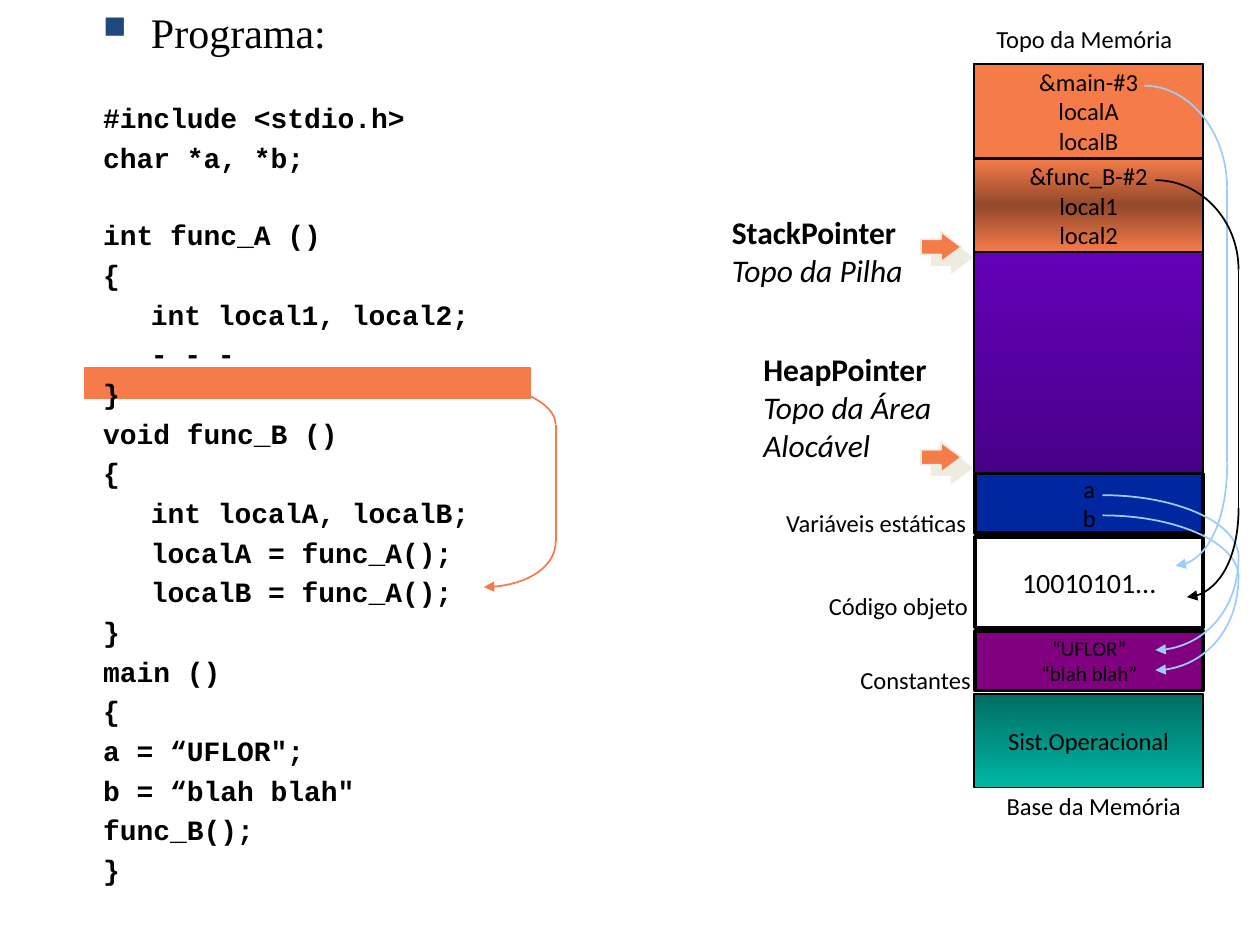
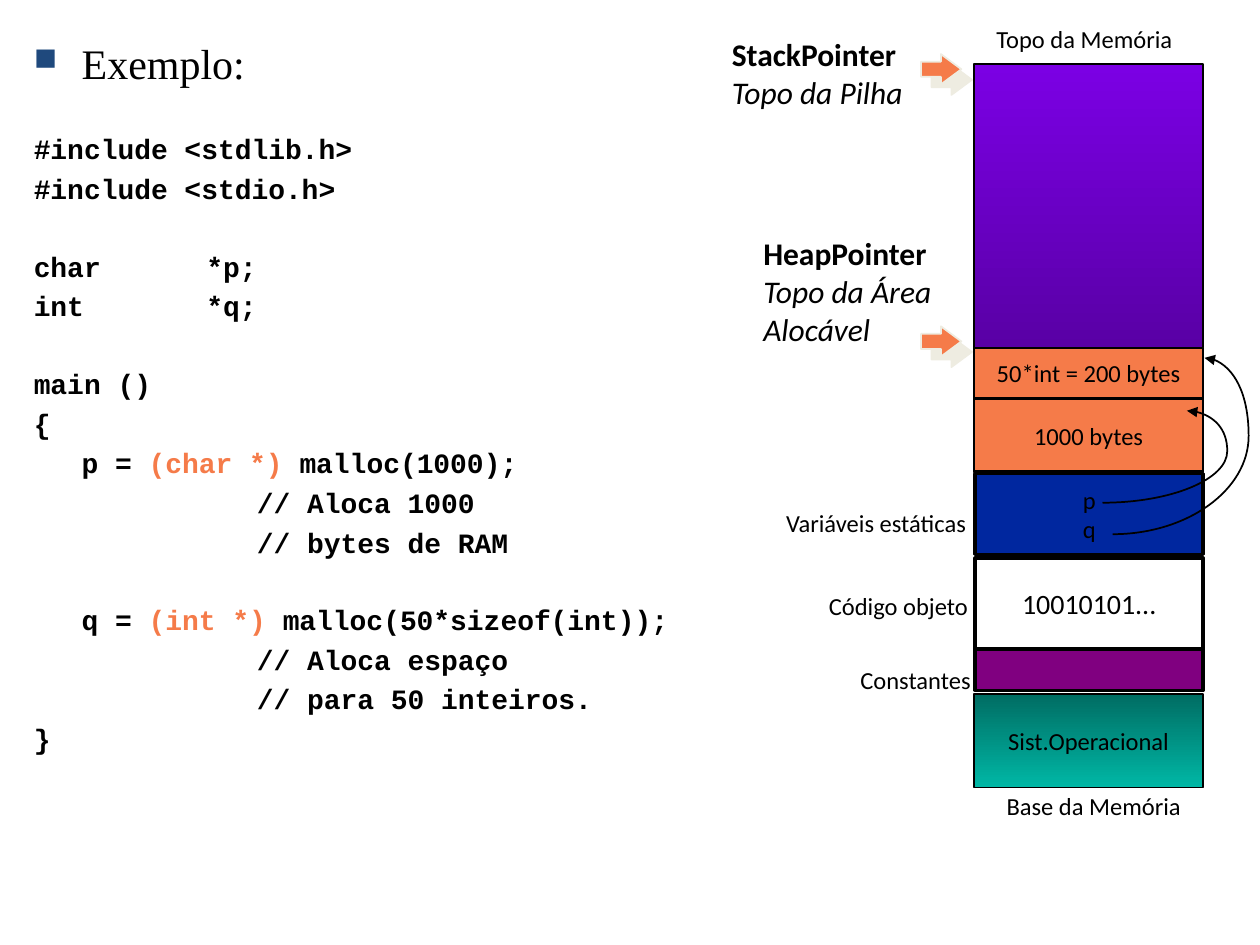
from lxml.etree import SubElement
from pptx import Presentation
from pptx.dml.color import RGBColor
from pptx.enum.shapes import MSO_CONNECTOR, MSO_SHAPE
from pptx.enum.text import MSO_ANCHOR, PP_ALIGN
from pptx.oxml.ns import qn
from pptx.util import Inches, Pt

COLORS = {
    "black": "000000", "white": "FFFFFF", "orange": "F57B49", "cream": "EEECE1",
    "navy": "1F497D", "blue": "00279F", "sky": "9CCDFC", "purple": "800080",
    "violet": "7B00E4", "teal": "00B7A5",
}
FONTS = {
    "heading": {"name": "Times New Roman", "size": Pt(24)},
    "code": {"name": "Courier New", "size": Pt(16), "bold": True},
    "small": {"name": "Calibri", "size": Pt(12)},
    "label": {"name": "Calibri", "size": Pt(14)},
    "bits": {"name": "Calibri", "size": Pt(16)},
    "pointer": {"name": "Calibri", "size": Pt(18), "bold": True},
    "pointer_note": {"name": "Calibri", "size": Pt(18), "italic": True},
}
GRADIENTS = {
    "os": [(0, "teal", 31), (100, "teal", 100)],
    "free": [(0, "violet", 100), (100, "violet", 31)],
    "frame": [(0, "orange", 100), (50, "orange", 31), (100, "orange", 100)],
}
LABELS = [
    (7.81, 0.14, 1.6, "Topo da Memória"),
    (7.89, 6.23, 1.6, "Base da Memória"),
    (6.14, 3.98, 1.77, "Variáveis estáticas"),
    (6.48, 4.64, 1.77, "Código objeto"),
    (6.73, 5.23, 1.77, "Constantes"),
]
PROGRAM = [
    ["#include <stdio.h>", "char *a, *b;"],
    ["int func_A ()", "{", "\tint local1, local2;", "\t- - -", "}",
     "void func_B ()", "{", "\tint localA, localB;", "\tlocalA = func_A();",
     "\tlocalB = func_A();", "}", "main ()", "{", 'a = “UFLOR";',
     'b = “blah blah"', "func_B();", "}"],
]
EXAMPLE = [
    ["#include <stdlib.h>", "#include <stdio.h>"],
    ["char\t*p;", "int\t*q;"],
    ["main ()", "{", "\tp = |(char *) |malloc(1000);", "\t// Aloca 1000",
     "\t// bytes de RAM"],
    ["\tq = |(int *) |malloc(50*sizeof(int));", "\t// Aloca espaço",
     "\t// para 50 inteiros.", "}"],
]
STACK = ["StackPointer", "Topo da Pilha"]
HEAP = ["HeapPointer", "Topo da Área", "Alocável"]
COLUMN_X, COLUMN_W = 7.73, 1.82
LINE_GAP, BLOCK_GAP = 3.5, 25.1
CURVE = 0.55


def rgb(color):
    """Return the RGB value of a named colour."""
    return RGBColor.from_string(COLORS[color])


def add_run(p, text, font, color="black"):
    """Append a run with a named font format."""
    r = p.add_run()
    r.text = text
    for name, value in FONTS[font].items():
        setattr(r.font, name, value)
    r.font.color.rgb = rgb(color)


def fill_lines(tf, lines, fonts, align=PP_ALIGN.LEFT):
    """Write one paragraph for each line."""
    for i, (line, font) in enumerate(zip(lines, fonts)):
        p = tf.add_paragraph() if i else tf.paragraphs[0]
        p.alignment = align
        add_run(p, line, font)


def add_textbox(s, x, y, w, h, wrap=True):
    """Add an empty text box and return its text frame."""
    tf = s.shapes.add_textbox(Inches(x), Inches(y), Inches(w), Inches(h)).text_frame
    tf.word_wrap = wrap
    return tf


def set_outline(sp, color, width=1):
    """Give a shape or connector a plain line."""
    sp.line.color.rgb = rgb(color)
    sp.line.width = Pt(width)


def set_gradient(sp, stops):
    """Fill a shape from top to bottom with shaded colour stops."""
    sp.fill.gradient()
    sp.fill.gradient_angle = 270
    gs_lst = sp._element.spPr.find(qn("a:gradFill")).find(qn("a:gsLst"))
    for gs in list(gs_lst):
        gs_lst.remove(gs)
    for pos, color, shade in stops:
        gs = SubElement(gs_lst, qn("a:gs"), pos=str(pos * 1000))
        clr = SubElement(gs, qn("a:srgbClr"), val=COLORS[color])
        if shade < 100:
            SubElement(clr, qn("a:shade"), val=str(shade * 1000))


def add_shape(s, kind, x, y, w, h, fill, line="black", width=1):
    """Add a preset shape with a solid or gradient fill."""
    sp = s.shapes.add_shape(kind, Inches(x), Inches(y), Inches(w), Inches(h))
    sp.shadow.inherit = False
    if fill in GRADIENTS:
        set_gradient(sp, GRADIENTS[fill])
    else:
        sp.fill.solid()
        sp.fill.fore_color.rgb = rgb(fill)
    set_outline(sp, line, width)
    return sp


def add_cell(s, y, h, fill, lines=(), font="label", width=1):
    """Add one block of the memory column."""
    inset = 0.01 * (width - 1)
    sp = add_shape(s, MSO_SHAPE.RECTANGLE, COLUMN_X + inset, y, COLUMN_W - inset, h,
                   fill, width=width)
    tf = sp.text_frame
    tf.word_wrap = False
    tf.vertical_anchor = MSO_ANCHOR.MIDDLE
    fill_lines(tf, lines, [font] * len(lines), PP_ALIGN.CENTER)


def add_pointer(s, x, y, w, h, lines, arrow_y):
    """Add a pointer caption and its shadowed arrow."""
    sp = add_shape(s, MSO_SHAPE.RIGHT_ARROW, 7.31, arrow_y, 0.32, 0.24, "orange", "cream")
    sp.adjustments[0], sp.adjustments[1] = 0.5, 0.677
    effects = sp._element.spPr.find(qn("a:effectLst"))
    shadow = SubElement(effects, qn("a:outerShdw"), blurRad="0", dist=str(Pt(8.5)),
                        dir="2700000", algn="ctr", rotWithShape="0")
    SubElement(shadow, qn("a:srgbClr"), val=COLORS["cream"])
    tf = add_textbox(s, x, y, w, h, wrap=False)
    fill_lines(tf, lines, ["pointer"] + ["pointer_note"] * (len(lines) - 1))


def add_arc(s, start, end, color, flat_start, arrow=False):
    """Draw a quarter ellipse that starts flat or upright."""
    (x0, y0), (x1, y1) = start, end
    dx, dy = CURVE * (x1 - x0), CURVE * (y1 - y0)
    if flat_start:
        points = [(x0 + dx, y0), (x1, y1 - dy), end]
    else:
        points = [(x0, y0 + dy), (x1 - dx, y1), end]
    fb = s.shapes.build_freeform(Inches(x0), Inches(y0))
    fb.add_line_segments([(Inches(x), Inches(y)) for x, y in points], close=False)
    sp = fb.convert_to_shape()
    outline = next(sp._element.iter(qn("a:path")))
    segments = outline.findall(qn("a:lnTo"))
    bezier = SubElement(outline, qn("a:cubicBezTo"))
    for segment in segments:
        bezier.append(segment[0])
        outline.remove(segment)
    sp.shadow.inherit = False
    sp.fill.background()
    set_outline(sp, color)
    if arrow:
        SubElement(sp._element.spPr.find(qn("a:ln")), qn("a:tailEnd"), type="triangle")


def add_loop(s, start, spine_x, bend_in, bend_out, end, color):
    """Join two points by arcs and a vertical spine, with an arrowhead."""
    add_arc(s, start, (spine_x, bend_in), color, True)
    if bend_in != bend_out:
        x = Inches(spine_x)
        sp = s.shapes.add_connector(MSO_CONNECTOR.STRAIGHT, x, Inches(bend_in),
                                    x, Inches(bend_out))
        set_outline(sp, color)
        SubElement(sp._element.spPr, qn("a:effectLst"))
    add_arc(s, (spine_x, bend_out), end, color, False, arrow=True)


def set_hang(p, hang, gap):
    """Set a hanging indent and the space before a paragraph."""
    pPr = p._p.get_or_add_pPr()
    pPr.set("marL", str(Inches(hang)))
    pPr.set("indent", str(-Inches(hang)))
    p.space_before = Pt(gap)
    return pPr


def code_hang(line):
    """Return the column that the tab of a code line reaches."""
    if "//" in line:
        return 1.77
    return 1.37 if "\t*" in line else 0.38


def add_listing(s, x, y, w, heading, blocks):
    """Add a bulleted heading followed by blocks of code."""
    tf = add_textbox(s, x, y, w, 6.92)
    p = tf.paragraphs[0]
    pPr = set_hang(p, 0.38, 3)
    SubElement(SubElement(pPr, qn("a:buClr")), qn("a:srgbClr"), val=COLORS["navy"])
    SubElement(pPr, qn("a:buSzPct"), val="75000")
    SubElement(pPr, qn("a:buChar"), char="■")
    add_run(p, heading, "heading")
    for block in blocks:
        for i, line in enumerate(block):
            p = tf.add_paragraph()
            set_hang(p, code_hang(line), LINE_GAP if i else BLOCK_GAP)
            for j, part in enumerate(line.split("|")):
                add_run(p, part, "code", "orange" if j % 2 else "black")


def add_memory(s, constants, variables, variables_h, code_y, stack_y, heap_y):
    """Add the memory column with its pointers and labels."""
    add_cell(s, 5.51, 0.74, "os", ["Sist.Operacional"])
    add_cell(s, 5.01, 0.47, "purple", constants, "small", 2)
    add_cell(s, code_y, 0.72, "white", ["10010101..."], "bits", 2)
    add_cell(s, 0.51, 3.24, "free")
    add_cell(s, 3.76, variables_h, "blue", variables, width=2)
    add_pointer(s, 5.96, heap_y, 1.57, 1, HEAP, heap_y + 0.78)
    add_pointer(s, 5.71, stack_y, 1.63, 0.7, STACK, stack_y + 0.2)
    for x, y, w, text in LABELS:
        fill_lines(add_textbox(s, x, y, w, 0.33), [text], ["label"])


def build_program(s):
    """Show the call stack while func_A returns."""
    add_shape(s, MSO_SHAPE.RECTANGLE, 0.67, 2.92, 3.54, 0.24, "orange", "orange")
    add_listing(s, 0.72, 0, 4.5, "Programa:", PROGRAM)
    add_memory(s, ["“UFLOR”", "“blah blah”"], ["a", "b"], 0.47, 4.26, 1.64, 2.73)
    for y in (3.93, 4.09):
        add_loop(s, (8.75, y), 9.83, y + 0.49, y + 0.49, (9.17, y + 1.23), "sky")
    add_cell(s, 0.51, 0.74, "orange", ["&main-#3", "localA", "localB"])
    add_loop(s, (9.08, 0.68), 9.74, 1.5, 3.67, (9.33, 4.49), "sky")
    add_cell(s, 1.26, 0.74, "frame", ["&func_B-#2", "local1", "local2"])
    add_loop(s, (9.17, 1.43), 9.83, 2.14, 4.03, (9.42, 4.74), "black")
    add_loop(s, (3.5, 3.01), 4.41, 3.37, 4.3, (3.84, 4.66), "orange")


def build_example(s):
    """Show the heap after two calls of malloc."""
    add_listing(s, 0.17, 0.25, 5.33, "Exemplo:", EXAMPLE)
    add_memory(s, [], ["p", "q"], 0.64, 4.43, 0.23, 1.81)
    add_cell(s, 3.17, 0.57, "orange", ["1000 bytes"])
    add_cell(s, 2.76, 0.4, "orange", ["50*int = 200 bytes"])
    add_loop(s, (8.75, 3.99), 9.74, 3.58, 3.58, (9.42, 3.26), "black")
    add_loop(s, (8.83, 4.24), 9.91, 3.46, 3.46, (9.56, 2.84), "black")


def main():
    """Build and save both slides."""
    prs = Presentation()
    prs.slide_width, prs.slide_height = Inches(10), Inches(7.5)
    for build in (build_program, build_example):
        build(prs.slides.add_slide(prs.slide_layouts[6]))
    prs.save("out.pptx")


if __name__ == "__main__":
    main()
